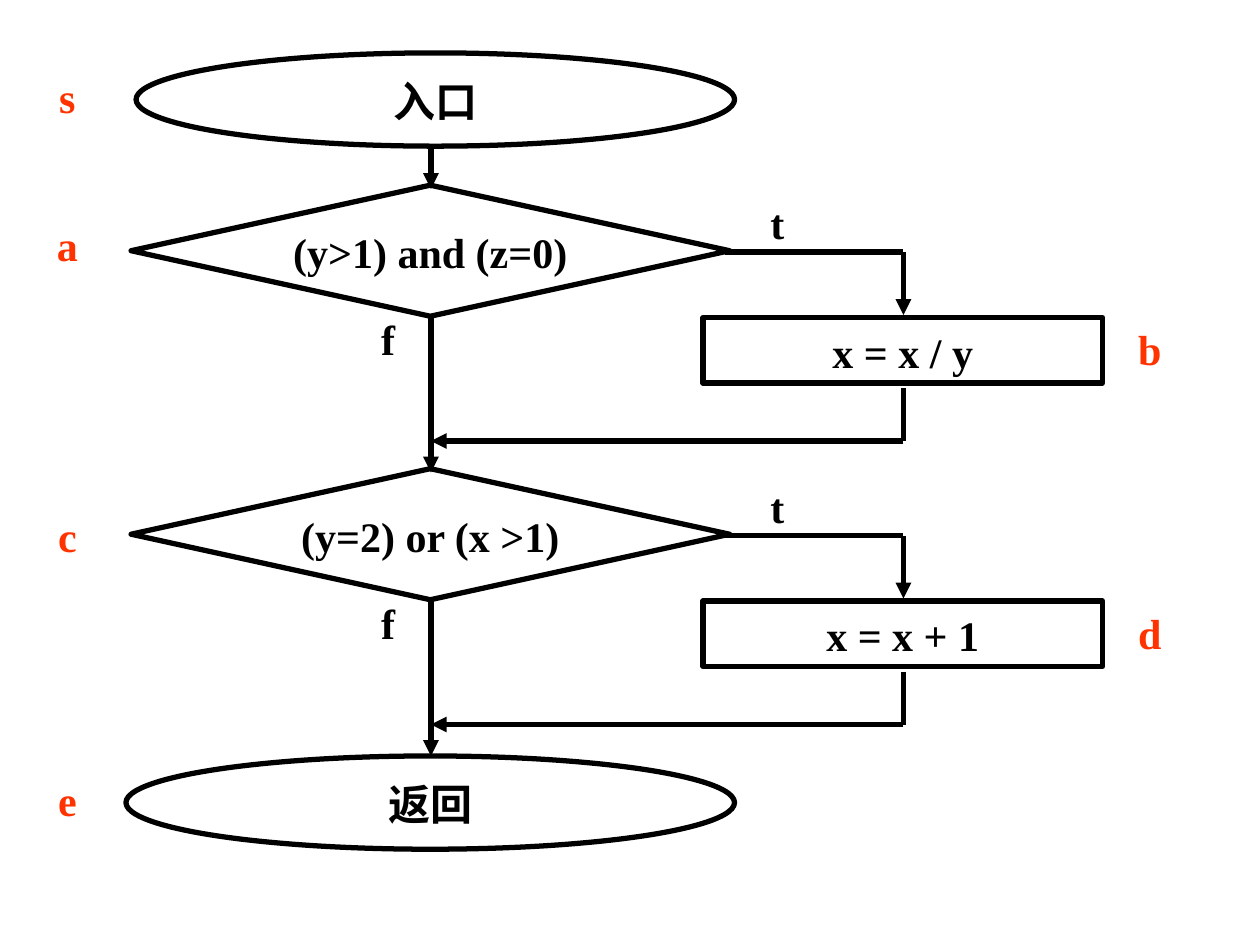
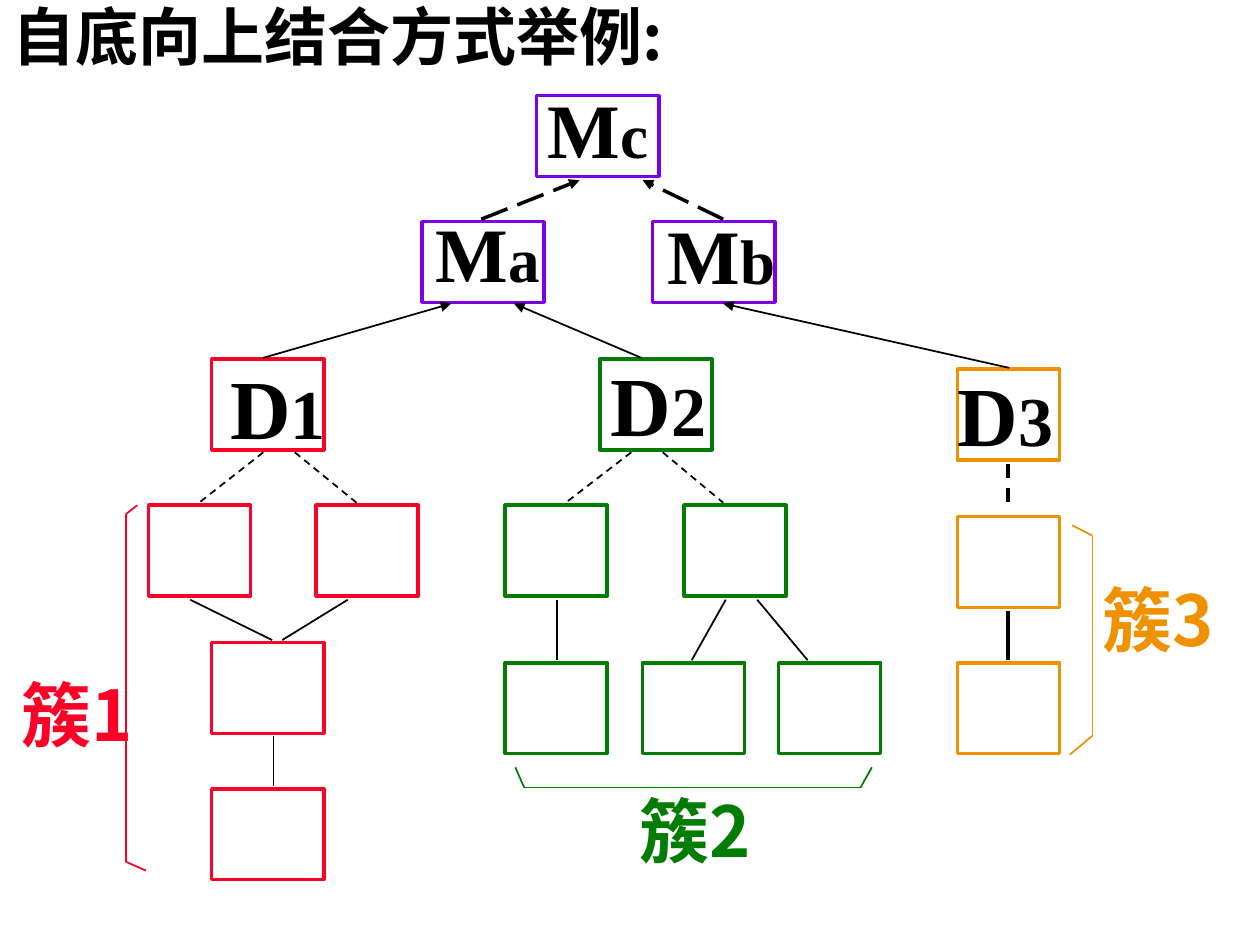
from itertools import pairwise

from lxml import etree
from pptx import Presentation
from pptx.dml.color import RGBColor
from pptx.enum.dml import MSO_LINE
from pptx.enum.shapes import MSO_CONNECTOR, MSO_SHAPE
from pptx.enum.text import MSO_ANCHOR, MSO_AUTO_SIZE, PP_ALIGN
from pptx.oxml.ns import qn
from pptx.util import Inches, Pt

STRAIGHT = MSO_CONNECTOR.STRAIGHT
RECTANGLE = MSO_SHAPE.RECTANGLE
ELLIPSE = MSO_SHAPE.OVAL
DECISION = MSO_SHAPE.FLOWCHART_DECISION
DASH = MSO_LINE.DASH
LONG_DASH = MSO_LINE.LONG_DASH
LEFT, CENTER = PP_ALIGN.LEFT, PP_ALIGN.CENTER
TOP, MIDDLE = MSO_ANCHOR.TOP, MSO_ANCHOR.MIDDLE
NO_AUTOFIT = MSO_AUTO_SIZE.NONE

LATIN_FONT = "Times New Roman"
CHINESE_FONT = "Noto Sans CJK SC"
COLORS = {
    "ink": "000000",
    "letter": "FF3300",
    "module": "7B00E4",
    "cluster1": "FC0128",
    "cluster2": "037C03",
    "cluster3": "EF9100",
}

# Flowchart: axis of the main path, axis of the side path, period of a branch
MAIN_X, SIDE_X = 3.42, 7.17
FIRST_BRANCH, BRANCH_STEP = 1.5, 2.25

MODULE_SIZE = (0.97, 0.64)
HEAD_SIZE = (0.89, 0.72)
BOX_SIZE = (0.81, 0.72)

# All cluster offsets are measured from the corner of the cluster's head box.
CLUSTERS = [
    {
        "number": "1", "origin": (1.68, 2.85), "head": HEAD_SIZE,
        "label": (0.05, -0.08), "caption": (-1.61, 2.43), "width": 1,
        "boxes": [(-0.5, 1.16, BOX_SIZE), (0.83, 1.16, BOX_SIZE),
                  (0, 2.25, HEAD_SIZE), (0, 3.41, HEAD_SIZE)],
        "dashed": [((0.41, 0.74), (-0.1, 1.14)), ((0.66, 0.74), (1.15, 1.14))],
        "solid": [((-0.17, 1.91), (0.48, 2.23)), ((1.08, 1.91), (0.56, 2.23)),
                  ((0.49, 2.99), (0.49, 3.39))],
        "bracket": [(-0.59, 1.16), (-0.68, 1.23), (-0.68, 3.99), (-0.52, 4.06)],
    },
    {
        "number": "2", "origin": (4.76, 2.85), "head": HEAD_SIZE,
        "label": (-0.01, -0.1), "caption": (0.22, 3.35), "width": 1,
        "boxes": [(-0.75, 1.16, BOX_SIZE), (0.67, 1.16, BOX_SIZE),
                  (-0.75, 2.41, BOX_SIZE), (0.34, 2.41, BOX_SIZE),
                  (1.42, 2.41, BOX_SIZE)],
        "dashed": [((0.25, 0.74), (-0.27, 1.14)), ((0.5, 0.74), (0.98, 1.14))],
        "solid": [((-0.34, 1.91), (-0.34, 2.39)), ((1, 1.91), (0.73, 2.39)),
                  ((1.25, 1.91), (1.65, 2.39))],
        "bracket": [(-0.67, 3.24), (-0.6, 3.4), (2.07, 3.4), (2.16, 3.24)],
    },
    {
        "number": "3", "origin": (7.6, 2.93), "head": BOX_SIZE,
        "label": (-0.1, -0.1), "caption": (1.05, 1.6), "width": 2,
        "boxes": [(0, 1.17, BOX_SIZE), (0, 2.33, BOX_SIZE)],
        "dashed": [((0.4, 0.75), (0.4, 1.14))],
        "solid": [((0.4, 1.92), (0.4, 2.31))],
        "bracket": [(0.91, 1.24), (1.07, 1.32), (1.07, 2.91), (0.89, 3.06)],
    },
]


def rgb(color):
    return RGBColor.from_string(COLORS[color])


def write_text(shape, *parts, font=LATIN_FONT, color="ink", align=LEFT,
               anchor=TOP, spacing=1.0, wrap=True):
    """Fill the shape with one bold paragraph of (text, size) parts."""
    frame = shape.text_frame
    frame.word_wrap = wrap
    frame.auto_size = NO_AUTOFIT
    frame.vertical_anchor = anchor
    paragraph = frame.paragraphs[0]
    paragraph.alignment = align
    paragraph.line_spacing = spacing
    for text, size in parts:
        run = paragraph.add_run()
        run.text = text
        run.font.size = Pt(size)
        run.font.bold = True
        run.font.color.rgb = rgb(color)
        run.font.name = font
        properties = run._r.get_or_add_rPr()
        etree.SubElement(properties, qn("a:ea"), typeface=CHINESE_FONT)


def add_outline(slide, kind, box, color="ink", width=2):
    shape = slide.shapes.add_shape(kind, *map(Inches, box))
    shape.shadow.inherit = False
    shape.fill.background()
    shape.line.color.rgb = rgb(color)
    shape.line.width = Pt(width)
    return shape


def add_text(slide, box, *parts, **text_format):
    write_text(slide.shapes.add_textbox(*map(Inches, box)), *parts, **text_format)


def add_line(slide, start, end, color="ink", width=1, dash=None, arrow=False):
    """Draw a line; an arrow points at its end."""
    line = slide.shapes.add_connector(STRAIGHT, *map(Inches, (*start, *end)))
    line.line.color.rgb = rgb(color)
    line.line.width = Pt(width)
    if dash:
        line.line.dash_style = dash
    if arrow:
        etree.SubElement(line.line._get_or_add_ln(), qn("a:tailEnd"), type="triangle")
    etree.SubElement(line._element.spPr, qn("a:effectLst"))


def add_flow_text(slide, box, text, color="ink"):
    add_text(slide, box, (text, 24), color=color, align=CENTER,
             anchor=MIDDLE, spacing=1.05)


def add_flow_node(slide, kind, box, text):
    node = add_outline(slide, kind, box, width=3)
    write_text(node, (text, 24), align=CENTER, anchor=MIDDLE, spacing=1.05)


def add_letter(slide, left, top, letter):
    add_flow_text(slide, (left, top, 0.41, 0.52), letter, "letter")


def add_branch(slide, top, condition, action):
    """Draw a decision, its action on the side and the way back."""
    add_flow_node(slide, DECISION, (1.04, top - 0.03, 4.75, 1.04), condition)
    add_flow_node(slide, RECTANGLE, (5.58, top + 1.02, 3.17, 0.52), action)
    add_flow_text(slide, (6.01, top, 0.32, 0.52), "t")
    add_flow_text(slide, (2.92, top + 0.92, 0.32, 0.52), "f")
    out, back = top + 0.5, top + 2
    add_line(slide, (5.75, out), (SIDE_X, out), width=3)
    add_line(slide, (SIDE_X, out), (SIDE_X, top + 1), width=3, arrow=True)
    add_line(slide, (SIDE_X, top + 1.58), (SIDE_X, back), width=3)
    add_line(slide, (SIDE_X, back), (MAIN_X, back), width=3, arrow=True)
    add_line(slide, (MAIN_X, top + 1), (MAIN_X, top + BRANCH_STEP),
             width=3, arrow=True)


def build_flowchart_slide(presentation):
    slide = presentation.slides.add_slide(presentation.slide_layouts[6])
    add_line(slide, (MAIN_X, 1.17), (MAIN_X, FIRST_BRANCH), width=3, arrow=True)
    add_flow_node(slide, ELLIPSE, (1.08, 0.42, 4.75, 0.74), "入口")
    branches = [("(y>1) and (z=0)", "x = x / y"), ("(y=2) or (x >1)", "x = x + 1")]
    for index, (condition, action) in enumerate(branches):
        add_branch(slide, FIRST_BRANCH + index * BRANCH_STEP, condition, action)
    add_flow_node(slide, ELLIPSE, (1, 6, 4.83, 0.74), "返回")
    for letter, top in zip("sace", (0.5, 1.67, 3.98, 6.08)):
        add_letter(slide, 0.33, top, letter)
    for letter, top in zip("bd", (2.5, 4.75)):
        add_letter(slide, 8.92, top, letter)


def add_module(slide, left, top, letter, label_offset):
    add_outline(slide, RECTANGLE, (left, top, *MODULE_SIZE), "module")
    across, down = label_offset
    add_text(slide, (left + across, top + down, 1.03, 0.83),
             ("M", 44), (letter, 36), wrap=False)


def add_cluster(slide, cluster):
    left, top = cluster["origin"]
    number = cluster["number"]
    color = "cluster" + number

    def place(point):
        return left + point[0], top + point[1]

    for across, down, size in [(0, 0, cluster["head"]), *cluster["boxes"]]:
        add_outline(slide, RECTANGLE, (*place((across, down)), *size), color)
    add_text(slide, (*place(cluster["label"]), 0.96, 0.9),
             ("D", 48), (number, 40), wrap=False)
    for links, dash in ((cluster["dashed"], DASH), (cluster["solid"], None)):
        for start, end in links:
            add_line(slide, place(start), place(end),
                     width=cluster["width"], dash=dash)
    for start, end in pairwise(cluster["bracket"]):
        add_line(slide, place(start), place(end), color)
    add_text(slide, (*place(cluster["caption"]), 1.18, 1.43),
             ("簇" + number, 40), font=CHINESE_FONT, color=color)


def add_title(slide, text):
    title = slide.shapes.title
    title.left, title.top, title.width, title.height = map(Inches, (0, 0, 9.92, 0.67))
    write_text(title, (text, 36), font=CHINESE_FONT, spacing=0.9)


def build_integration_slide(presentation):
    slide = presentation.slides.add_slide(presentation.slide_layouts[5])
    add_title(slide, "自底向上结合方式举例:")
    add_module(slide, 4.26, 0.76, "c", (-0.01, -0.16))
    add_module(slide, 3.35, 1.76, "a", (0.01, -0.18))
    add_module(slide, 5.18, 1.76, "b", (0.02, -0.16))
    for start, end in (((5.74, 1.74), (5.1, 1.43)), ((3.82, 1.74), (4.6, 1.43))):
        add_line(slide, start, end, width=2, dash=LONG_DASH, arrow=True)
    for cluster in CLUSTERS:
        add_cluster(slide, cluster)
    for start, end in (((2.09, 2.84), (3.58, 2.41)),
                       ((5.09, 2.84), (4.08, 2.41)),
                       ((8.01, 2.92), (5.74, 2.41))):
        add_line(slide, start, end, arrow=True)


def main():
    presentation = Presentation()
    presentation.slide_width = Inches(10)
    presentation.slide_height = Inches(7.5)
    build_flowchart_slide(presentation)
    build_integration_slide(presentation)
    presentation.save("out.pptx")


if __name__ == "__main__":
    main()
